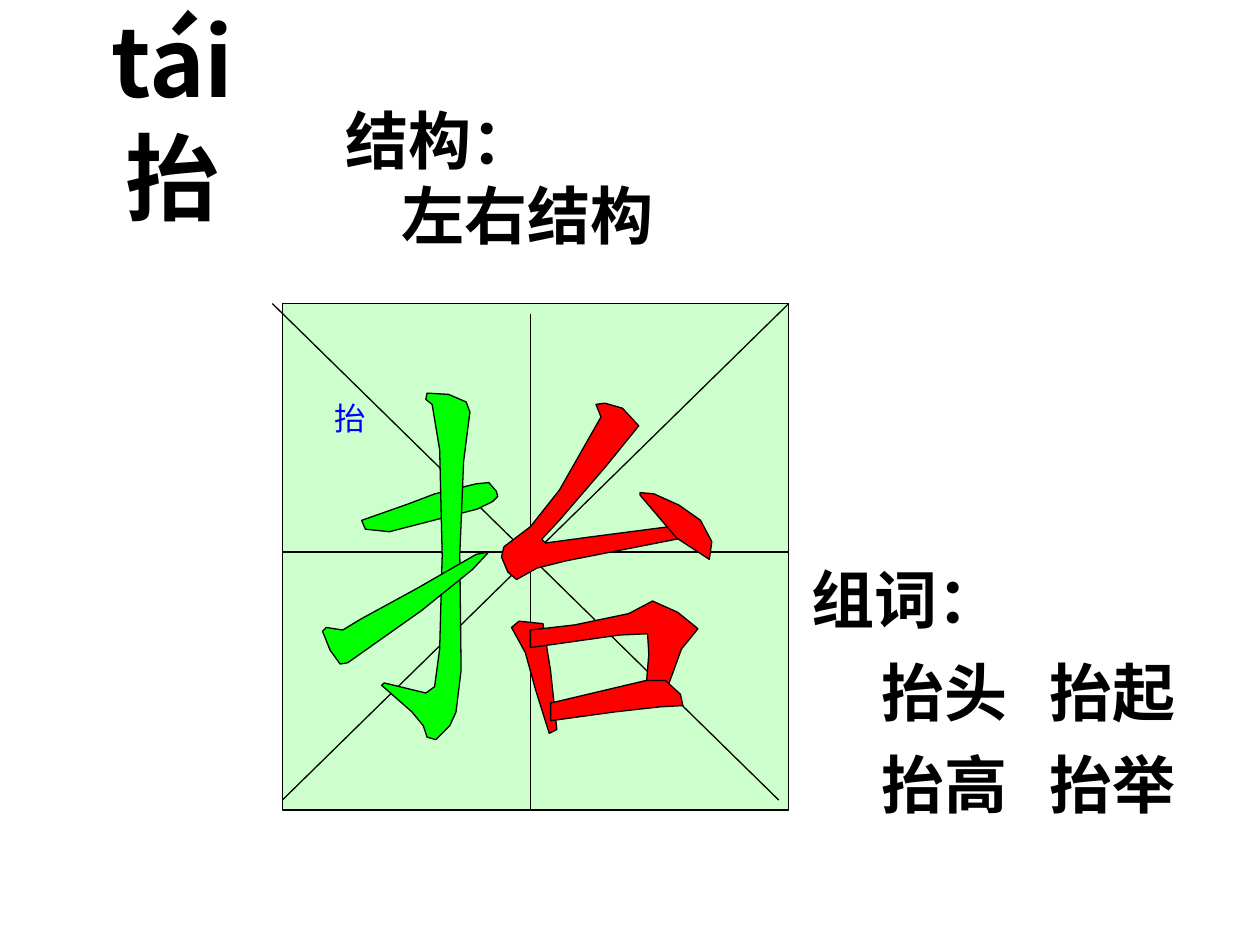
"""Build a slide teaching the character 抬: pinyin, structure, strokes and words."""
from lxml.etree import SubElement
from pptx import Presentation
from pptx.dml.color import RGBColor
from pptx.enum.shapes import MSO_CONNECTOR, MSO_SHAPE
from pptx.enum.text import MSO_ANCHOR, PP_ALIGN
from pptx.oxml.ns import qn
from pptx.util import Cm, Pt

FONT = "Noto Sans CJK SC"
BLACK, BLUE, GREEN, RED, PALE = "000000", "0000FF", "00FF00", "FF0000", "CCFFCC"
UNIT = Cm(0.0254)

HEADING = {"box": (1.27, 0.76, 4.42, 3.18), "size": 54, "lines": [("tái", 66), ("抬", 66)]}
STRUCTURE = {"box": (6.71, 2.03, 8.61, 3.07), "size": 36, "tabs": [1.14],
             "lines": [("结构：", 43), ("\t左右结构", 43)]}
WORDS = {"box": (16.1, 11.63, 8.61, 4.6), "size": 36, "tabs": [1.42, 4.8],
         "lines": [("组词：", 43), ("\t抬头\t抬起", 53), ("\t抬高\t抬举", 53)]}
SMALL = {"box": (6.5, 7.92, 7.85, 7.04), "size": 18, "lines": [("抬", None)]}

GRID_LEFT, GRID_TOP, GRID_SIDE = 5.69, 6.12, 10.21
GUIDE_SPAN, GUIDE_SHIFT = 10.01, 0.2

STROKES = [
    (GREEN, [(394, 390), (395, 394), (391, 398), (379, 404), (309, 422), (290, 420),
             (287, 413), (324, 400), (345, 392), (378, 384), (388, 383)]),
    (GREEN, [(357, 576), (346, 587), (339, 585), (336, 576), (327, 565), (303, 544),
             (305, 542), (338, 550), (345, 545), (349, 515), (351, 441), (349, 357),
             (343, 321), (338, 317), (339, 312), (356, 313), (370, 319), (373, 327),
             (368, 366), (365, 440), (366, 532), (362, 565)]),
    (RED, [(411, 507), (406, 498), (412, 493), (431, 495), (437, 532), (442, 579),
           (436, 582), (425, 547), (417, 518)]),
    (RED, [(526, 556), (512, 556), (515, 519), (514, 503), (492, 504), (421, 514),
           (421, 500), (456, 496), (499, 487), (518, 477), (538, 486), (554, 499),
           (541, 515)]),
    (RED, [(481, 370), (444, 413), (430, 428), (433, 431), (470, 426), (547, 416),
           (547, 426), (450, 445), (426, 451), (410, 460), (403, 454), (398, 442),
           (400, 434), (421, 418), (444, 389), (477, 331), (473, 321), (480, 320),
           (494, 324), (507, 338)]),
    (GREEN, [(334, 485), (276, 526), (270, 527), (262, 516), (256, 501), (259, 498),
             (272, 500), (287, 491), (331, 467), (378, 440), (388, 438), (375, 452)]),
    (RED, [(540, 551), (542, 560), (524, 561), (488, 565), (437, 572), (437, 558),
           (513, 540), (528, 540)]),
    (RED, [(519, 392), (539, 401), (556, 413), (565, 430), (563, 444), (537, 427),
           (508, 393), (508, 391)]),
]


def colour(value):
    return RGBColor.from_string(value)


def outline(shape):
    shape.line.color.rgb = colour(BLACK)
    shape.line.width = Pt(0.75)


def paint(shape, fill):
    shape.shadow.inherit = False
    shape.fill.solid()
    shape.fill.fore_color.rgb = colour(fill)
    outline(shape)


def write(holder, content, align=PP_ALIGN.LEFT, anchor=MSO_ANCHOR.MIDDLE,
          ink=BLACK, bold=True, wrap=True):
    holder.left, holder.top, holder.width, holder.height = map(Cm, content["box"])
    frame = holder.text_frame
    frame.word_wrap = wrap
    frame.vertical_anchor = anchor
    for index, (text, spacing) in enumerate(content["lines"]):
        paragraph = frame.add_paragraph() if index else frame.paragraphs[0]
        paragraph.alignment = align
        paragraph.space_before = Pt(0)
        if spacing:
            paragraph.line_spacing = Pt(spacing)
        if "tabs" in content:
            stops = SubElement(paragraph._p.get_or_add_pPr(), qn("a:tabLst"))
            for stop in content["tabs"]:
                SubElement(stops, qn("a:tab"), pos=str(Cm(stop)), algn="l")
        run = paragraph.add_run()
        run.text = text
        run.font.size = Pt(content["size"])
        run.font.bold = bold
        run.font.color.rgb = colour(ink)
        run.font.name = FONT
        SubElement(run._r.get_or_add_rPr(), qn("a:ea"), typeface=FONT)


def draw_grid(shapes):
    grid = shapes.add_group_shape().shapes
    square = (GRID_LEFT, GRID_TOP, GRID_SIDE, GRID_SIDE)
    paint(grid.add_shape(MSO_SHAPE.RECTANGLE, *map(Cm, square)), PALE)
    right, low = GRID_LEFT + GRID_SIDE, GRID_TOP + GUIDE_SPAN
    middle_x = GRID_LEFT + GUIDE_SPAN / 2
    middle_y = GRID_TOP + GUIDE_SPAN / 2
    guides = [
        (GRID_LEFT - GUIDE_SHIFT, GRID_TOP, right - GUIDE_SHIFT, low),
        (GRID_LEFT, low, right, GRID_TOP),
        (GRID_LEFT, middle_y, right, middle_y),
        (middle_x, GRID_TOP + GUIDE_SHIFT, middle_x, low + GUIDE_SHIFT),
    ]
    for ends in guides:
        guide = grid.add_connector(MSO_CONNECTOR.STRAIGHT, *map(Cm, ends))
        outline(guide)
        SubElement(guide._element.spPr, qn("a:effectLst"))


def draw_stroke(shapes, fill, points):
    builder = shapes.build_freeform(*points[0], scale=UNIT)
    builder.add_line_segments(points[1:], close=True)
    paint(builder.convert_to_shape(), fill)


def main():
    deck = Presentation()
    deck.slide_width, deck.slide_height = Cm(25.4), Cm(19.05)
    shapes = deck.slides.add_slide(deck.slide_layouts[5]).shapes
    write(shapes.title, HEADING, align=PP_ALIGN.CENTER)
    draw_grid(shapes)
    write(shapes.add_textbox(0, 0, 0, 0), SMALL, anchor=MSO_ANCHOR.TOP,
          ink=BLUE, bold=False, wrap=False)
    for fill, points in STROKES:
        draw_stroke(shapes, fill, points)
    for content in (STRUCTURE, WORDS):
        write(shapes.add_textbox(0, 0, 0, 0), content)
    deck.save("out.pptx")


if __name__ == "__main__":
    main()
